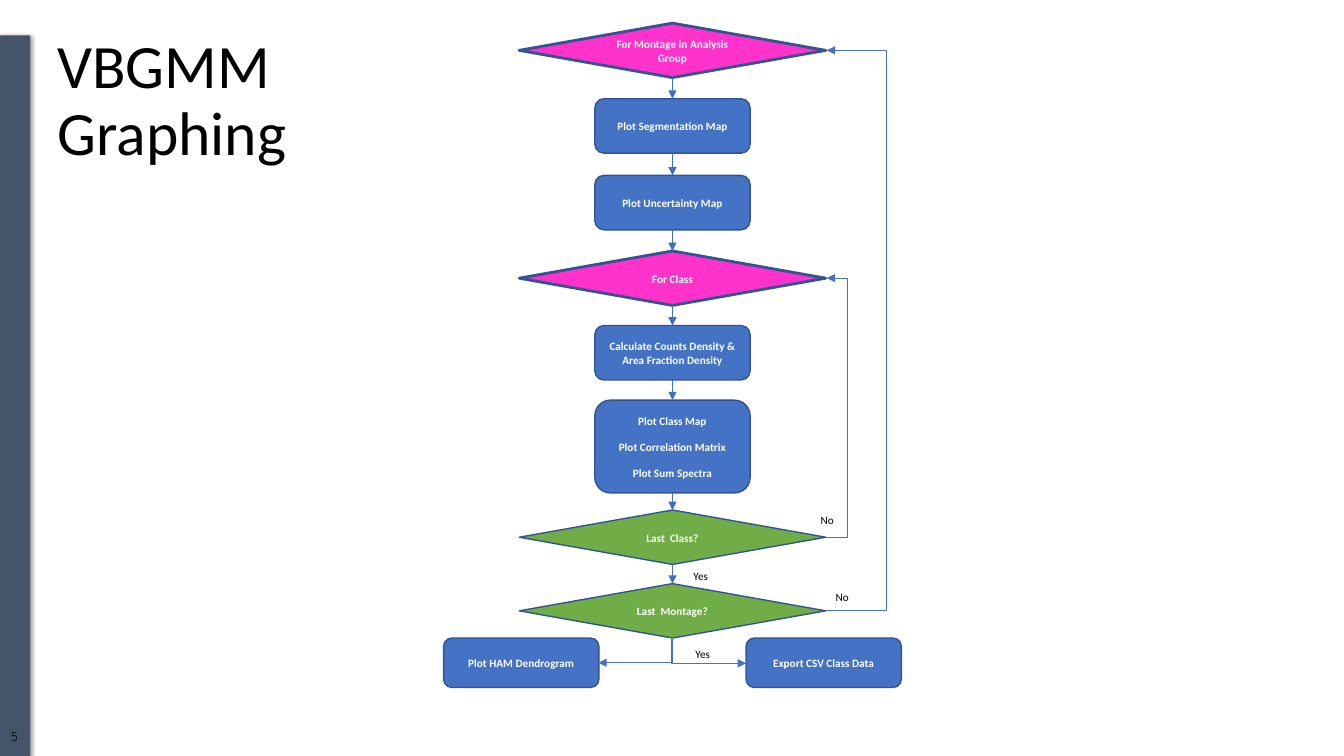
from dataclasses import dataclass
from itertools import pairwise

from lxml.etree import SubElement
from pptx import Presentation
from pptx.dml.color import RGBColor
from pptx.enum.shapes import MSO_CONNECTOR, MSO_SHAPE
from pptx.enum.text import MSO_ANCHOR, MSO_AUTO_SIZE, PP_ALIGN
from pptx.oxml.ns import qn
from pptx.util import Inches, Pt

COLORS = {
    "bar": "44546A", "box": "4472C4", "edge": "325490", "loop": "FF33CC",
    "test": "70AD47", "arrow": "3F6EC2", "white": "FFFFFF", "black": "000000",
}
MID = 6.67  # centre line of the flow

# Format values
FRAME = {"word_wrap": True, "auto_size": MSO_AUTO_SIZE.NONE}
MARGINS = ("margin_left", "margin_top", "margin_right", "margin_bottom")
TITLE = {"alignment": PP_ALIGN.LEFT, "line_spacing": 0.9}
NUMBER = {"alignment": PP_ALIGN.CENTER, "line_spacing": 0.9}
STEP = {"alignment": PP_ALIGN.CENTER, "line_spacing": 1.07, "space_after": Pt(8)}
LABEL = STEP | {"alignment": PP_ALIGN.LEFT}


@dataclass
class Style:
    shape: MSO_SHAPE
    fill: str
    width: float
    line: float


@dataclass
class Step:
    text: str
    style: Style
    top: float
    height: float = 0.54
    mid: float = MID


@dataclass
class Label:
    text: str
    left: float
    top: float


@dataclass
class Link:
    start: tuple[float, float]
    end: tuple[float, float]
    preset: str = "line"
    turn: int = 0
    bend: float | None = None
    color: str = "box"
    weight: float = 0.5


BOX = Style(MSO_SHAPE.ROUNDED_RECTANGLE, "box", 1.54, 1)
LOOP = Style(MSO_SHAPE.FLOWCHART_DECISION, "loop", 3.04, 2)
TEST = Style(MSO_SHAPE.FLOWCHART_DECISION, "test", 3.04, 1)

FLOW = [
    Step("For Montage in Analysis Group", LOOP, 0.23),
    Step("Plot Segmentation Map", BOX, 0.98),
    Step("Plot Uncertainty Map", BOX, 1.74),
    Step("For Class", LOOP, 2.49),
    Step("Calculate Counts Density & Area Fraction Density", BOX, 3.23),
    Step("Plot Class Map\nPlot Correlation Matrix\nPlot Sum Spectra", BOX, 3.97, 0.92),
    Step("Last  Class?", TEST, 5.06),
    Step("Last  Montage?", TEST, 5.79),
]
ENDS = [
    Step("Plot HAM Dendrogram", BOX, 6.33, 0.49, MID - 1.5),
    Step("Export CSV Class Data", BOX, 6.33, 0.49, MID + 1.5),
]
LABELS = [
    Label("Yes", 6.78, 5.61), Label("Yes", 6.8, 6.38),
    Label("No", 8.19, 5.81), Label("No", 8.04, 5.05),
]
# Loops back to the start, then the split to both ends
BENT = [
    Link((8.19, 6.06), (8.2, 0.5), "bentConnector3", bend=61),
    Link((8.19, 5.33), (8.2, 2.76), "bentConnector3", bend=22),
    Link((7.15, 6.09), (6.91, 6.83), "bentConnector2", turn=270),
    Link((6.18, 6.09), (6.42, 6.82), "bentConnector2", turn=90),
]


def rgb(name: str) -> RGBColor:
    return RGBColor.from_string(COLORS[name])


def apply(target, values: dict) -> None:
    for name, value in values.items():
        setattr(target, name, value)


def write(shape, text: str, size: float, color: str, para: dict,
          anchor=MSO_ANCHOR.MIDDLE, font: str = "Calibri", bold: bool = False) -> None:
    frame = shape.text_frame
    apply(frame, FRAME | {"vertical_anchor": anchor})
    frame.text = text
    for line in frame.paragraphs:
        apply(line, para)
        for run in line.runs:
            apply(run.font, {"name": font, "size": Pt(size), "bold": bold})
            run.font.color.rgb = rgb(color)


def draw_step(slide, step: Step) -> None:
    style = step.style
    shape = slide.shapes.add_shape(
        style.shape, Inches(step.mid - style.width / 2), Inches(step.top),
        Inches(style.width), Inches(step.height))
    shape.shadow.inherit = False
    shape.fill.solid()
    shape.fill.fore_color.rgb = rgb(style.fill)
    shape.line.color.rgb = rgb("edge")
    shape.line.width = Pt(style.line)
    write(shape, step.text, 8, "white", STEP, bold=True)


def draw_label(slide, label: Label) -> None:
    box = slide.shapes.add_textbox(
        Inches(label.left), Inches(label.top), Inches(0.43), Inches(0.21))
    write(box, label.text, 8, "black", LABEL)


def draw_link(slide, link: Link) -> None:
    kind = MSO_CONNECTOR.STRAIGHT if link.preset == "line" else MSO_CONNECTOR.ELBOW
    wire = slide.shapes.add_connector(
        kind, *(Inches(value) for value in link.start + link.end))
    wire.line.color.rgb = rgb(link.color)
    wire.line.width = Pt(link.weight)
    props = wire._element.spPr
    shape = props.find(qn("a:prstGeom"))
    shape.set("prst", link.preset)
    if link.turn:
        props.find(qn("a:xfrm")).set("rot", str(link.turn * 60000))
    if link.bend is not None:
        guide = SubElement(shape.find(qn("a:avLst")), qn("a:gd"))
        guide.set("name", "adj1")
        guide.set("fmla", f"val {round(link.bend * 100000)}")
    SubElement(props.find(qn("a:ln")), qn("a:tailEnd")).set("type", "triangle")
    SubElement(props, qn("a:effectLst"))


def draw_bar(slide) -> None:
    bar = slide.shapes.add_shape(
        MSO_SHAPE.RECTANGLE, 0, Inches(0.35), Inches(0.3), Inches(7.15))
    bar.shadow.inherit = False
    bar.fill.solid()
    bar.fill.fore_color.rgb = rgb("bar")
    bar.line.fill.background()
    # Soft shadow below the bar
    effects = bar._element.spPr.find(qn("a:effectLst"))
    shadow = SubElement(effects, qn("a:outerShdw"), blurRad=str(Pt(3.5)),
                        dist=str(Pt(1.1)), dir="5400000", rotWithShape="0")
    tint = SubElement(shadow, qn("a:srgbClr"), val=COLORS["black"])
    SubElement(tint, qn("a:alpha"), val="45000")
    # Page number
    page = slide.shapes.add_textbox(
        Inches(-0.01), Inches(7.25), Inches(0.31), Inches(0.16))
    apply(page.text_frame, dict.fromkeys(MARGINS, 0))
    write(page, "5", 9, "black", NUMBER, MSO_ANCHOR.TOP, "Quicksand")


def main() -> None:
    deck = Presentation()
    apply(deck, {"slide_width": Inches(13.33), "slide_height": Inches(7.5)})
    slide = deck.slides.add_slide(deck.slide_layouts[5])
    draw_bar(slide)

    # Title
    title = slide.shapes.title
    apply(title, {"left": Inches(0.47), "top": Inches(0.3),
                  "width": Inches(2.63), "height": Inches(1.43)})
    write(title, "VBGMM\nGraphing", 44, "black", TITLE, MSO_ANCHOR.TOP)

    # Flow chart
    for step in FLOW + ENDS:
        draw_step(slide, step)
    down = [Link((MID, step.top + step.height), (MID, after.top),
                 color="arrow", weight=0.75) for step, after in pairwise(FLOW)]
    for link in down + BENT:
        draw_link(slide, link)
    for label in LABELS:
        draw_label(slide, label)
    deck.save("out.pptx")


if __name__ == "__main__":
    main()
